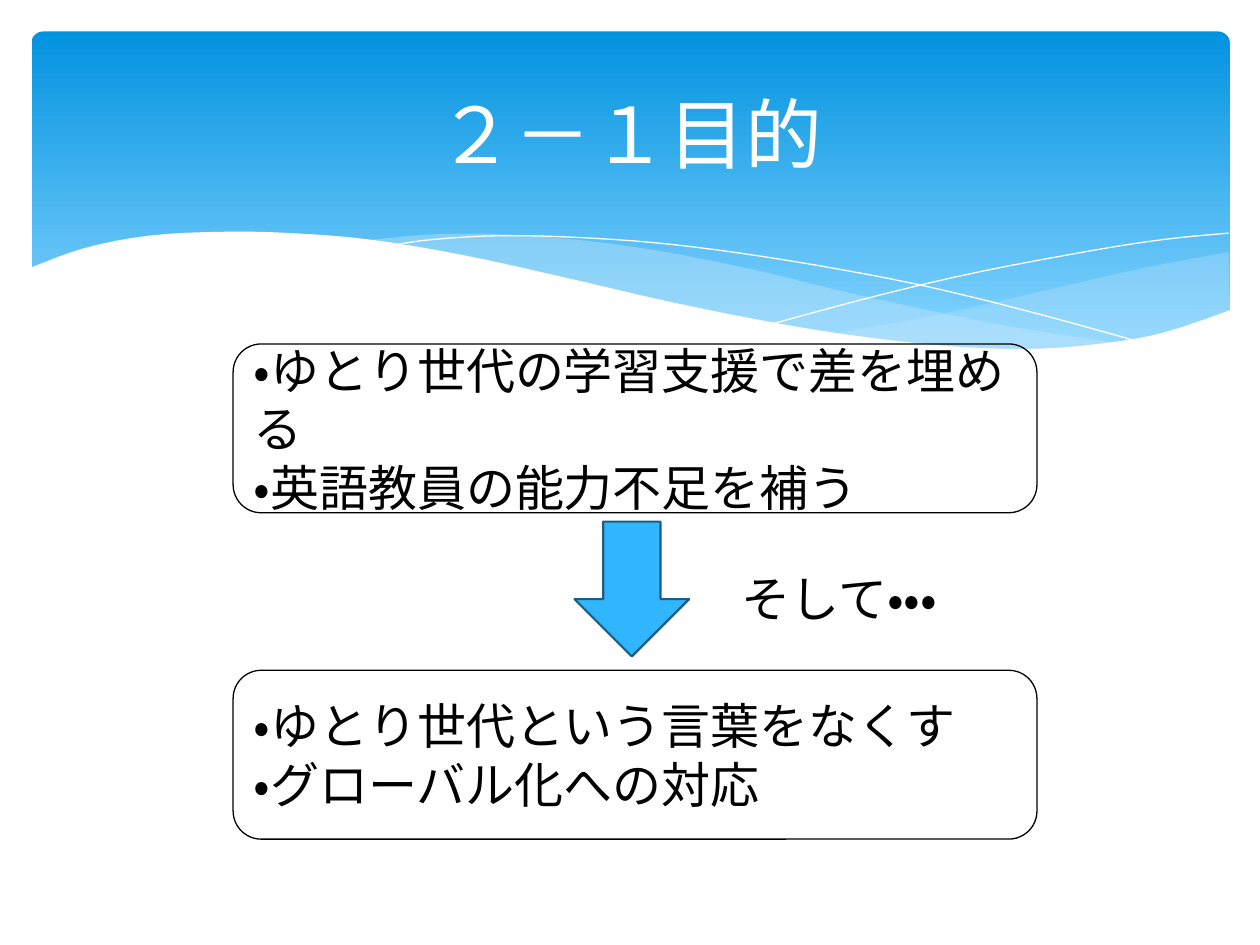
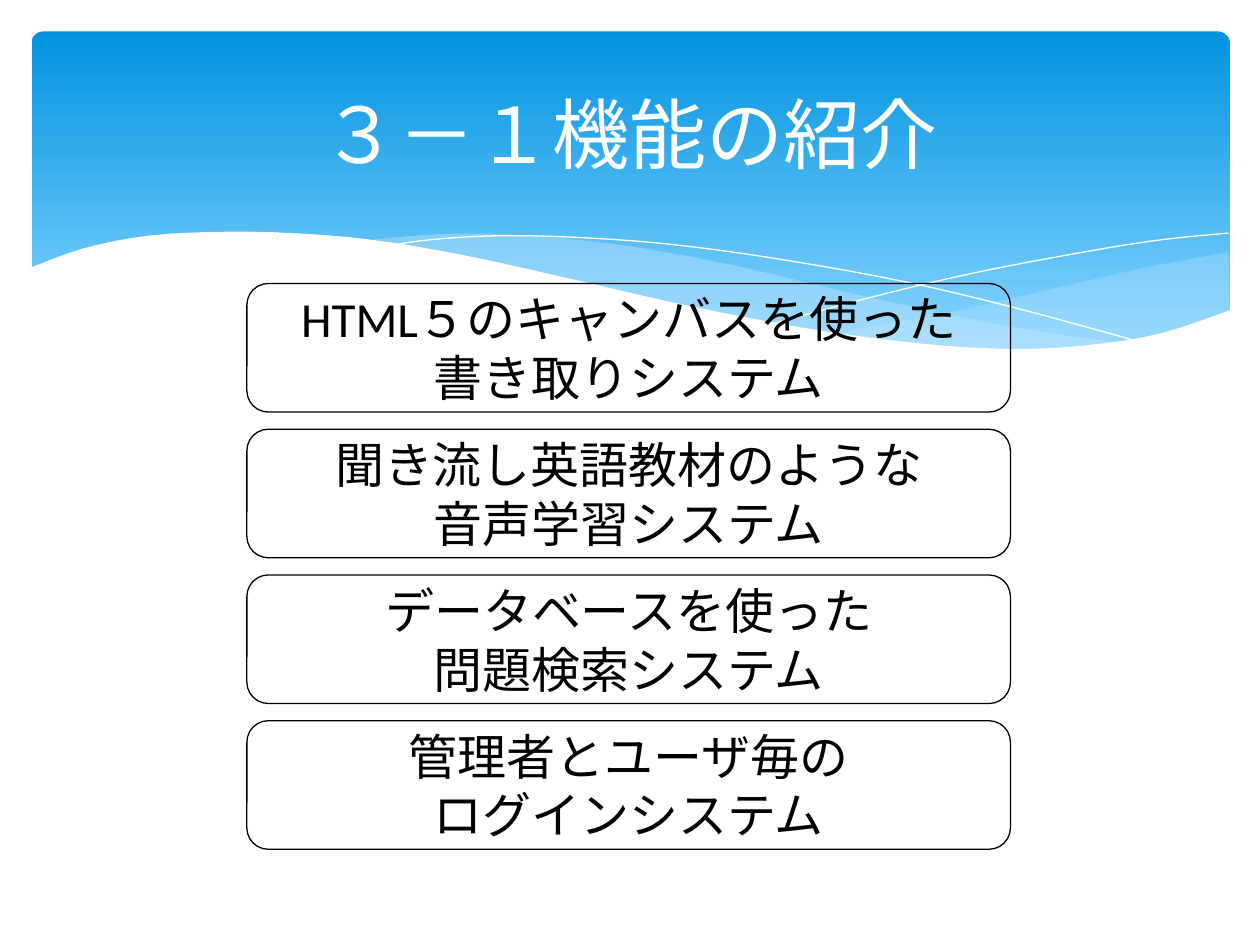
import dataclasses
import itertools

import lxml.etree
import pptx
import pptx.dml.color
import pptx.enum.lang
import pptx.enum.shapes
import pptx.enum.text
import pptx.oxml.ns
import pptx.util

Inches = pptx.util.Inches
Shape = pptx.enum.shapes.MSO_SHAPE
Align = pptx.enum.text.PP_ALIGN
Anchor = pptx.enum.text.MSO_ANCHOR


@dataclasses.dataclass(frozen=True)
class Theme:
    """Colours, font and type sizes shared by the slides."""
    font: str = "Calibri"
    head: int = 44
    body: int = 28
    white: str = "FFFFFF"
    ink: str = "000000"
    deep: str = "0293E0"
    sky: str = "83D3FE"
    mist: str = "C6E7FC"
    arrow: str = "31B6FD"
    edge: str = "195F84"


THEME = Theme()
BAND = (0.25, 0.25, 9.51, 2.7)

RIGHT = [
    [(9.5, 1.75), (8.81, 1.88), (8.07, 2.05), (7.28, 2.23), (6.36, 2.4)],
    [(6.36, 2.4), (6.8, 2.46), (7.32, 2.51), (7.78, 2.53), (8.29, 2.51),
     (8.72, 2.45), (9.1, 2.37), (9.51, 2.22)],
]
MIDDLE = [
    [(8.68, 2.48), (7.82, 2.35), (7.16, 2.22), (6.43, 2.06), (5.73, 1.89),
     (5.03, 1.75), (4.4, 1.66), (3.74, 1.61), (3.19, 1.61), (2.61, 1.66)],
    [(2.61, 1.66), (3.17, 1.74), (3.79, 1.86), (4.66, 2.07), (5.41, 2.23),
     (6.09, 2.36), (6.7, 2.45), (7.23, 2.51), (7.82, 2.53), (8.23, 2.52),
     (8.68, 2.48)],
]
FALLING = [
    [(2.84, 1.7), (3.19, 1.65), (3.76, 1.62), (4.44, 1.64), (5.08, 1.69),
     (5.83, 1.79), (6.7, 1.94), (7.35, 2.08), (8.06, 2.26), (8.82, 2.47)],
]
RISING = [
    [(5.88, 2.32), (6.7, 2.1), (7.51, 1.91), (8.41, 1.74), (8.99, 1.65),
     (9.5, 1.6)],
]
FRONT = [
    [(9.52, 2.21), (8.95, 2.4), (8.38, 2.49), (7.84, 2.52), (7.19, 2.49),
     (6.43, 2.4), (5.78, 2.29), (5.04, 2.14), (4.22, 1.95), (3.4, 1.77),
     (2.67, 1.65), (2.05, 1.6), (1.52, 1.59), (0.94, 1.62), (0.42, 1.72),
     (-0.02, 1.88)],
    [(-0.02, 3.04), (9.52, 3.04)],
]


def tint(code):
    """Return the colour for a hex code."""
    return pptx.dml.color.RGBColor.from_string(code)


def paint(shape, fill=None, line=None, width=0, alpha=None):
    """Set the fill and line of a shape and drop its shadow."""
    shape.shadow.inherit = False
    if fill:
        shape.fill.solid()
        shape.fill.fore_color.rgb = tint(fill)
    else:
        shape.fill.background()
    if alpha:
        clr = shape.fill._xPr.find(".//" + pptx.oxml.ns.qn("a:srgbClr"))
        lxml.etree.SubElement(clr, pptx.oxml.ns.qn("a:alpha"), val=str(alpha * 1000))
    if line:
        shape.line.color.rgb = tint(line)
        shape.line.width = pptx.util.Pt(width)
    else:
        shape.line.fill.background()


def write(frame, lines, size, color, align):
    """Fill a text frame with one run per paragraph."""
    for index, line in enumerate(lines):
        para = frame.add_paragraph() if index else frame.paragraphs[0]
        para.alignment = align
        run = para.add_run()
        run.text = line
        run.font.name = THEME.font
        run.font.size = pptx.util.Pt(size)
        run.font.color.rgb = tint(color)
        run.font.language_id = pptx.enum.lang.MSO_LANGUAGE_ID.JAPANESE


def smooth(knots, steps=4):
    """Return the points of a Catmull-Rom curve through the knots."""
    ends = [knots[0], *knots, knots[-1]]
    points = [knots[0]]
    for a, b, c, d in zip(ends, ends[1:], ends[2:], ends[3:]):
        for step in range(1, steps + 1):
            t = step / steps
            points.append(tuple(
                (2 * q + (r - p) * t + (2 * p - 5 * q + 4 * r - s) * t ** 2
                 + (3 * q - p - 3 * r + s) * t ** 3) / 2
                for p, q, r, s in zip(a, b, c, d)))
    return points


def wave(slide, box, curves, close=True):
    """Draw an outline of smooth curves relative to the box."""
    knots = itertools.chain.from_iterable(map(smooth, curves))
    points = [(Inches(box[0] + x), Inches(box[1] + y)) for x, y in knots]
    pen = slide.shapes.build_freeform(*points[0])
    pen.add_line_segments(points[1:], close=close)
    return pen.convert_to_shape()


def band(slide, box):
    """Draw the blue header band with its waves."""
    back = slide.shapes.add_shape(Shape.ROUNDED_RECTANGLE, *map(Inches, box))
    back.adjustments[0] = 0.034
    paint(back)
    back.fill.gradient()
    back.fill.gradient_angle = 270
    stops = zip(back.fill.gradient_stops, (THEME.deep, THEME.sky), (0, 0.9))
    for stop, code, place in stops:
        stop.color.rgb = tint(code)
        stop.position = place
    paint(wave(slide, box, RIGHT), THEME.mist, alpha=29)
    paint(wave(slide, box, MIDDLE), THEME.mist, alpha=40)
    for curve in (FALLING, RISING):
        paint(wave(slide, box, curve, close=False), line=THEME.white)
    paint(wave(slide, box, FRONT), THEME.white)


def start(deck, text):
    """Add a slide with the header band and its title on top."""
    slide = deck.slides.add_slide(deck.slide_layouts[5])
    band(slide, BAND)
    title = slide.shapes.title
    title.left, title.top = Inches(0.5), Inches(0.37)
    title.width, title.height = Inches(9), Inches(1.37)
    title.text_frame.vertical_anchor = Anchor.MIDDLE
    write(title.text_frame, [text], THEME.head, THEME.white, Align.CENTER)
    slide.shapes.element.append(title.element)
    return slide


def card(slide, box, lines, align):
    """Draw an outlined round box with text."""
    shape = slide.shapes.add_shape(Shape.ROUNDED_RECTANGLE, *map(Inches, box))
    paint(shape, line=THEME.ink, width=0.75)
    shape.text_frame.word_wrap = True
    shape.text_frame.vertical_anchor = Anchor.MIDDLE
    write(shape.text_frame, lines, THEME.body, THEME.ink, align)


def flow(slide, box, groups, note):
    """Place two cards with an arrow and a note between them."""
    left, top, width, height = box
    tall = 1.34
    for y, lines in zip((top, top + height - tall), groups):
        card(slide, (left, y, width, tall), lines, Align.LEFT)
    place = (left + 2.71, top + 1.41, 0.91, 1.07)
    arrow = slide.shapes.add_shape(Shape.DOWN_ARROW, *map(Inches, place))
    paint(arrow, THEME.arrow, THEME.edge, 1.25)
    place = (left + 3.94, top + 1.73, 1.83, 0.57)
    label = slide.shapes.add_textbox(*map(Inches, place))
    label.text_frame.word_wrap = False
    label.text_frame.auto_size = pptx.enum.text.MSO_AUTO_SIZE.SHAPE_TO_FIT_TEXT
    write(label.text_frame, [note], THEME.body, THEME.ink, Align.LEFT)


def stack(slide, box, groups):
    """Spread cards evenly down the box."""
    left, top, width, height = box
    tall = 1.02
    step = (height - tall) / (len(groups) - 1)
    for index, lines in enumerate(groups):
        card(slide, (left, top + index * step, width, tall), lines, Align.CENTER)


def main():
    """Build and save the two slides."""
    deck = pptx.Presentation()
    deck.slide_width, deck.slide_height = Inches(10), Inches(7.5)
    flow(start(deck, "２－１目的"), (1.85, 2.73, 6.38, 3.93), [
        ["・ゆとり世代の学習支援で差を埋める", "・英語教員の能力不足を補う"],
        ["・ゆとり世代という言葉をなくす", "・グローバル化への対応"],
    ], "そして・・・")
    stack(start(deck, "３－１機能の紹介"), (1.96, 2.25, 6.06, 4.49), [
        ["HTML５のキャンバスを使った", "書き取りシステム"],
        ["聞き流し英語教材のような", "音声学習システム"],
        ["データベースを使った", "問題検索システム"],
        ["管理者とユーザ毎の", "ログインシステム"],
    ])
    deck.save("out.pptx")


if __name__ == "__main__":
    main()
